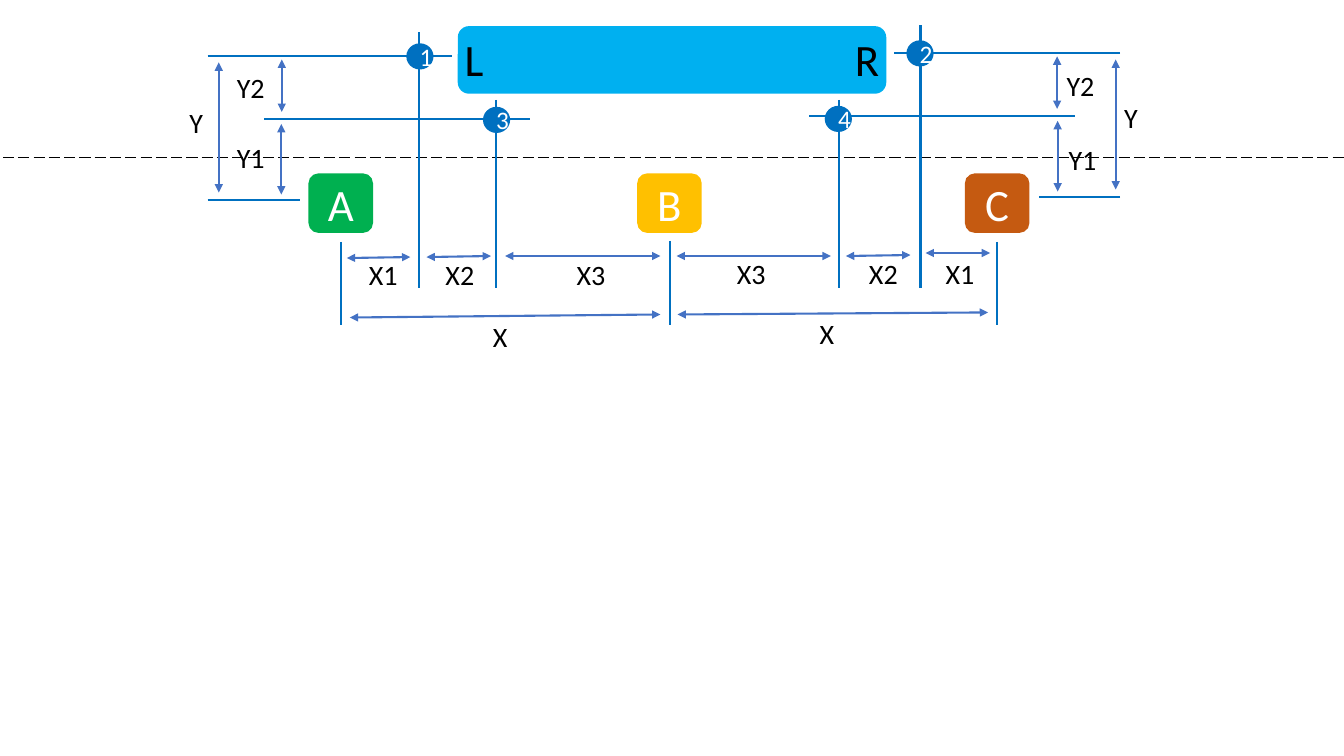
from lxml.etree import SubElement
from pptx import Presentation
from pptx.dml.color import RGBColor
from pptx.enum.dml import MSO_LINE
from pptx.enum.shapes import MSO_CONNECTOR, MSO_SHAPE
from pptx.enum.text import MSO_ANCHOR, MSO_AUTO_SIZE, PP_ALIGN
from pptx.oxml.ns import qn
from pptx.util import Inches, Pt

BLACK = RGBColor(0x00, 0x00, 0x00)
WHITE = RGBColor(0xFF, 0xFF, 0xFF)
SKY = RGBColor(0x00, 0xB0, 0xF0)
GREEN = RGBColor(0x00, 0xB0, 0x50)
AMBER = RGBColor(0xFF, 0xC0, 0x00)
RUST = RGBColor(0xC5, 0x5A, 0x11)
GUIDE_BLUE = RGBColor(0x00, 0x70, 0xC0)
ARROW_BLUE = RGBColor(0x44, 0x72, 0xC4)

STATIONS = [("A", 3.06, GREEN), ("B", 6.32, AMBER), ("C", 9.57, RUST)]
SENSORS = [("1", 4.03, 0.43), ("3", 4.79, 1.06), ("2", 8.99, 0.40), ("4", 8.18, 1.05)]

# name, arrow start, arrow end, label left, label top: offsets from the box
COLUMN_GUIDES = [(0, 2.40, 3.22), (0.78, 0.32, 2.86), (1.54, 0.99, 2.86),
                 (3.265, 2.39, 3.22), (4.94, 0.99, 2.86), (5.75, 0.25, 2.86),
                 (6.51, 2.40, 3.22)]
SPANS = [("X1", (0.06, 0.16), (0.69, 0.15), (0.18, 0.11)),
         ("X2", (0.85, 0.15), (1.49, 0.14), (0.94, 0.11)),
         ("X3", (1.63, 0.14), (3.17, 0.14), (2.24, 0.11)),
         ("X3", (3.33, 0.14), (4.86, 0.14), (3.83, 0.10)),
         ("X2", (5.01, 0.14), (5.65, 0.13), (5.14, 0.10)),
         ("X1", (5.80, 0.11), (6.44, 0.11), (5.90, 0.10)),
         ("X", (0.09, 0.75), (3.17, 0.72), (1.41, 0.72)),
         ("X", (3.34, 0.72), (6.42, 0.70), (4.65, 0.69))]


def write_text(sp, text, size=20, color=BLACK, align=PP_ALIGN.LEFT):
    p = sp.text_frame.paragraphs[0]
    p.alignment = align
    r = p.add_run()
    r.text = text
    r.font.name = "Calibri"
    r.font.size = Pt(size)
    r.font.color.rgb = color


def add_label(slide, text, left, top, width=0.49, height=0.44, size=20, wrap=False):
    sp = slide.shapes.add_textbox(Inches(left), Inches(top), Inches(width), Inches(height))
    tf = sp.text_frame
    tf.word_wrap = wrap
    tf.auto_size = MSO_AUTO_SIZE.SHAPE_TO_FIT_TEXT
    write_text(sp, text, size=size)


def add_block(slide, kind, left, top, width, height, fill, text="", size=32):
    sp = slide.shapes.add_shape(kind, Inches(left), Inches(top), Inches(width), Inches(height))
    sp.shadow.inherit = False
    sp.fill.solid()
    sp.fill.fore_color.rgb = fill
    sp.line.fill.background()
    if text:
        sp.text_frame.vertical_anchor = MSO_ANCHOR.MIDDLE
        write_text(sp, text, size=size, color=WHITE, align=PP_ALIGN.CENTER)


def add_line(slide, x1, y1, x2, y2, color=GUIDE_BLUE, weight=1.5):
    line = slide.shapes.add_connector(
        MSO_CONNECTOR.STRAIGHT, Inches(x1), Inches(y1), Inches(x2), Inches(y2))
    line.line.color.rgb = color
    line.line.width = Pt(weight)
    SubElement(line._element.spPr, qn("a:effectLst"))
    return line


def add_arrow(slide, x1, y1, x2, y2):
    ln = add_line(slide, x1, y1, x2, y2, color=ARROW_BLUE).line._get_or_add_ln()
    for end in ("a:headEnd", "a:tailEnd"):
        SubElement(ln, qn(end), type="triangle")


def draw_bar(slide, left, top, width, height):
    add_block(slide, MSO_SHAPE.ROUNDED_RECTANGLE, left, top, width, height, SKY)
    add_label(slide, "L", left - 0.03, top + 0.01, width=0.39, height=0.64, size=32)
    add_label(slide, "R", left + width - 0.41, top + 0.01, width=0.45, height=0.64, size=32)


def draw_heights(slide, edge, top, side, inset, reach, labels):
    guides = [(0, inset, reach), (0.62, 0.56, 3.20), (1.42, inset, 0.92)]
    for y, start, end in guides:
        add_line(slide, edge + side * start, top + y, edge + side * end, top + y)
    arrows = [(0.735, 0.03, 0.55), (0.73, 0.67, 1.37), (0.11 + inset * 0.4, 0.06, 1.35)]
    for x, start, end in arrows:
        add_arrow(slide, edge + side * x, top + start, edge + side * x, top + end)
    for name, x, y in labels:
        outer = name == "Y"
        add_label(slide, name, edge + x, top + y, width=0.64 if outer else 0.48, wrap=outer)


def draw_spans(slide, left, top):
    for x, start, end in COLUMN_GUIDES:
        add_line(slide, left + x, start, left + x, end)
    for name, (x1, y1), (x2, y2), (x, y) in SPANS:
        add_arrow(slide, left + x1, top + y1, left + x2, top + y2)
        add_label(slide, name, left + x, top + y, width=0.35 if name == "X" else 0.49)


def main():
    prs = Presentation()
    prs.slide_width, prs.slide_height = Inches(13.33), Inches(7.5)
    slide = prs.slides.add_slide(prs.slide_layouts[6])

    draw_bar(slide, 4.54, 0.26, 4.25, 0.67)
    for name, left, fill in STATIONS:
        add_block(slide, MSO_SHAPE.ROUNDED_RECTANGLE, left, 1.72, 0.64, 0.59, fill, name)
    axis = add_line(slide, 0.03, 1.56, 13.36, 1.56, color=BLACK, weight=1)
    axis.line.dash_style = MSO_LINE.LONG_DASH

    draw_heights(slide, 2.06, 0.56, 1, 0, 2.42,
                 [("Y2", 0.19, 0.09), ("Y1", 0.19, 0.78), ("Y", -0.28, 0.44)])
    draw_heights(slide, 11.22, 0.53, -1, 0.11, 2.35,
                 [("Y2", -0.74, 0.10), ("Y1", -0.72, 0.83), ("Y", -0.17, 0.42)])
    draw_spans(slide, 3.38, 2.40)
    for name, left, top in SENSORS:
        add_block(slide, MSO_SHAPE.OVAL, left, top, 0.27, 0.26, GUIDE_BLUE, name, size=18)

    prs.save("out.pptx")


if __name__ == "__main__":
    main()
